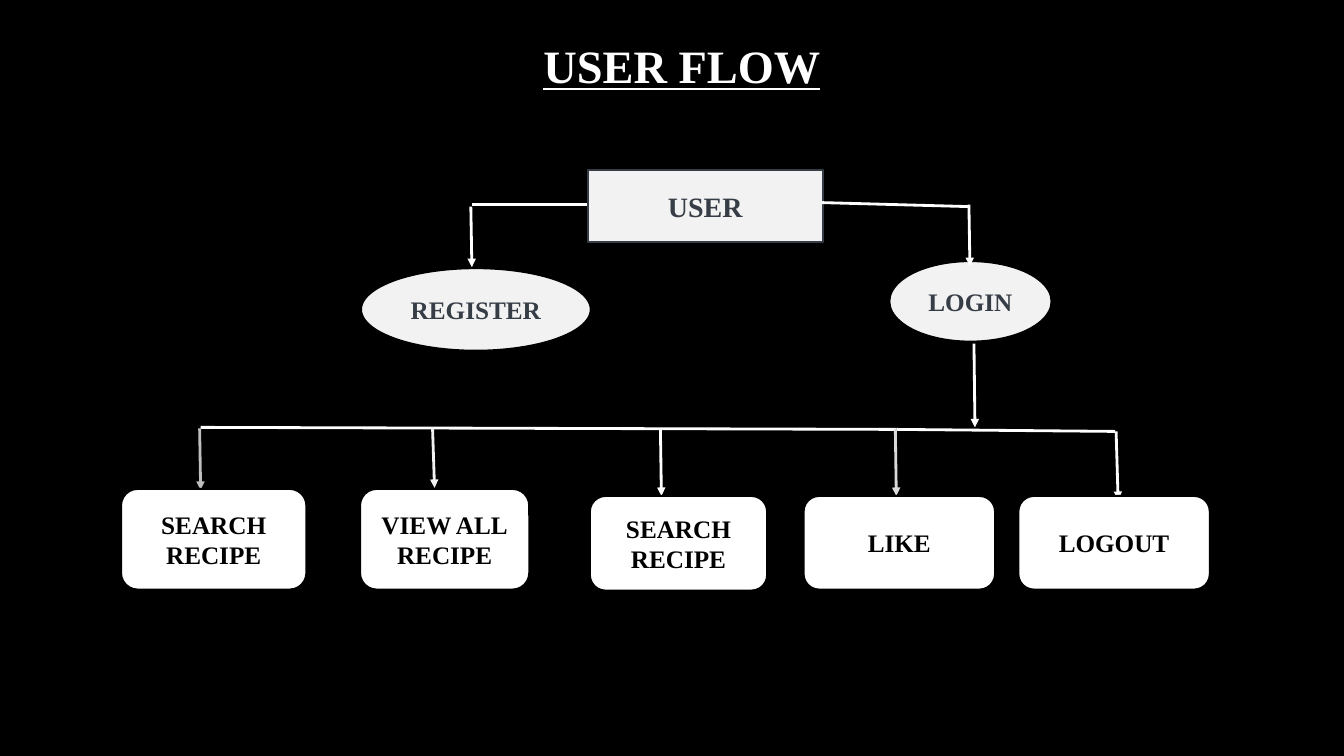
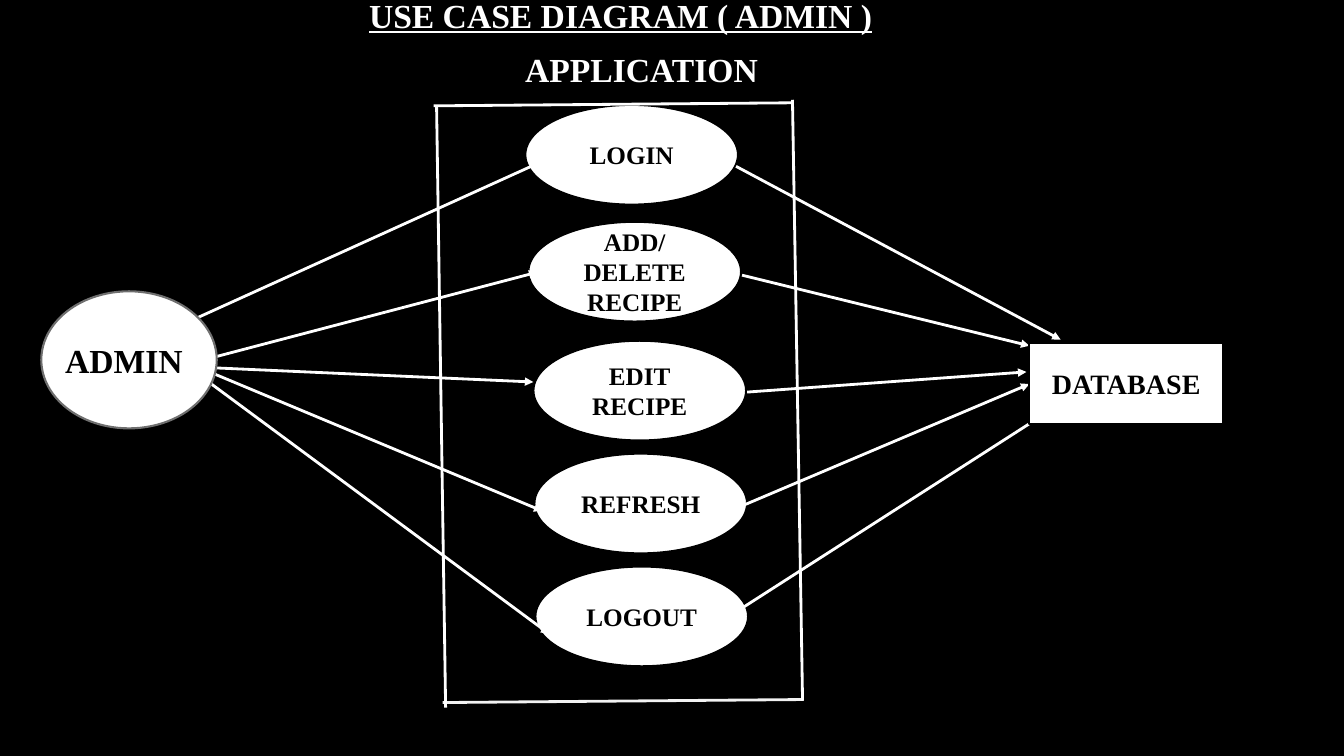
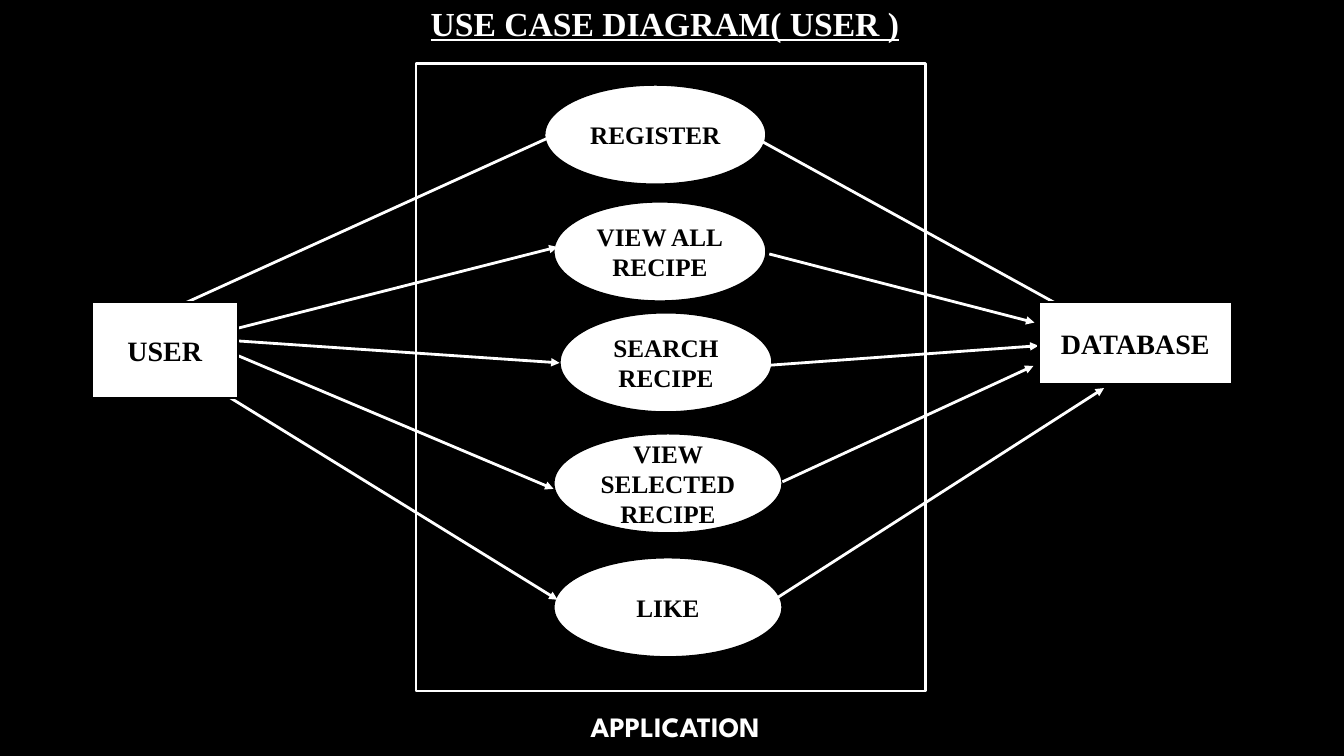
from pptx import Presentation, util as u
from pptx.dml.color import RGBColor
from pptx.enum import shapes, text
from pptx.oxml.ns import qn
from lxml import etree

COLORS = {
    "black": "000000", "white": "FFFFFF", "pale": "F2F2F2", "light": "D9D9D9",
    "silver": "BFBFBF", "gray": "6F6F6F", "slate": "363D46",
}
SERIF = "Times New Roman"
SHAPE = shapes.MSO_SHAPE
TITLE_ONLY = 5
CASE_HEIGHT = 0.99


def color(name):
    return RGBColor.from_string(COLORS[name])


def inches(values):
    return [u.Inches(value) for value in values]


def shift(origin, point):
    """Return a point, or a box, moved from its origin to the slide."""
    return (origin[0] + point[0], origin[1] + point[1], *point[2:])


def write(shape, lines, size=18, ink="black", font=SERIF, align="CENTER",
          anchor="MIDDLE", underline=False, spacing=None, wrap=True):
    frame = shape.text_frame
    frame.word_wrap = wrap
    frame.auto_size = text.MSO_AUTO_SIZE.NONE
    frame.vertical_anchor = getattr(text.MSO_ANCHOR, anchor)
    frame.text = lines
    for paragraph in frame.paragraphs:
        paragraph.alignment = getattr(text.PP_ALIGN, align)
        if spacing:
            paragraph.line_spacing = spacing
        for run in paragraph.runs:
            run.font.name, run.font.size = font, u.Pt(size)
            run.font.bold, run.font.underline = True, underline
            run.font.color.rgb = color(ink)


def add_node(slide, kind, box, label="", fill="white", line="black", **style):
    shape = slide.shapes.add_shape(kind, *inches(box))
    shape.shadow.inherit = False
    if fill:
        shape.fill.solid()
        shape.fill.fore_color.rgb = color(fill)
    else:
        shape.fill.background()
    shape.line.color.rgb = color(line)
    shape.line.width = u.Pt(1.5)
    if label:
        write(shape, label, **style)
    return shape


def add_line(slide, start, end, ink="white", arrow=False):
    connector = slide.shapes.add_connector(
        shapes.MSO_CONNECTOR.STRAIGHT, *inches((*start, *end)))
    connector.line.color.rgb = color(ink)
    connector.line.width = u.Pt(2)
    if arrow:
        outline = connector.line._get_or_add_ln()
        etree.SubElement(outline, qn("a:tailEnd"), type="triangle")
    etree.SubElement(connector._element.spPr, qn("a:effectLst"))


def add_caption(slide, box, label, **style):
    shape = slide.shapes.add_textbox(*inches(box))
    write(shape, label, ink="white", align="LEFT", anchor="TOP", **style)


def add_titled_slide(presentation, title, box, size=24, spacing=None):
    slide = presentation.slides.add_slide(presentation.slide_layouts[TITLE_ONLY])
    shape = slide.shapes.title
    shape.left, shape.top, shape.width, shape.height = inches(box)
    write(shape, title, size=size, ink="white", align="LEFT",
          underline=True, spacing=spacing)
    return slide


def add_entry_branch(slide, box):
    """Draw the user box with its register and login branches."""
    add_node(slide, SHAPE.RECTANGLE, box, "USER", fill="pale", line="slate",
             size=20, ink="slate")
    for label, place in (("REGISTER", (-2.25, 0.97, 2.28, 0.82)),
                         ("LOGIN", (2.99, 0.9, 1.61, 0.8))):
        add_node(slide, SHAPE.OVAL, shift(box, place), label, fill="pale", ink="slate")
    for start, end, arrow in (
            ((-0.01, 0.34), (-1.15, 0.34), False),
            ((-1.16, 0.36), (-1.15, 0.96), True),
            ((2.32, 0.32), (3.78, 0.36), False),
            ((3.78, 0.34), (3.79, 0.95), True),
            ((3.83, 1.72), (3.84, 2.55), True)):
        add_line(slide, shift(box, start), shift(box, end), arrow=arrow)


def add_action_row(slide, origin):
    """Draw the rail and the actions that hang from it."""
    rail = [(0.79, 0), (7.69, 0.02), (9.86, 0.04)]
    for start, end in zip(rail, rail[1:]):
        add_line(slide, shift(origin, start), shift(origin, end))
    actions = [
        ("SEARCH\nRECIPE", (0, 0.61, 1.84, 1), (0.78, 0.01), (0.79, 0.62), "silver"),
        ("VIEW ALL\nRECIPE", (2.37, 0.61, 1.68, 1), (3.09, 0), (3.11, 0.6), "pale"),
        ("SEARCH\nRECIPE", (4.65, 0.68, 1.76, 0.94), (5.35, 0.01), (5.36, 0.68), "white"),
        ("LIKE", (6.77, 0.68, 1.9, 0.93), (7.68, 0.02), (7.69, 0.68), "light"),
        ("LOGOUT", (8.9, 0.68, 1.9, 0.93), (9.87, 0.04), (9.89, 0.72), "white"),
    ]
    for label, box, start, end, ink in actions:
        add_line(slide, shift(origin, start), shift(origin, end), ink, arrow=True)
        add_node(slide, SHAPE.ROUNDED_RECTANGLE, shift(origin, box), label)


def add_use_cases(slide, cases, actor, database):
    """Draw the cases and link each to the actor and the database.

    The four link points are offsets from the actor, case, case and database.
    """
    for label, (left, top, width), *points in cases:
        case = (left, top, width, CASE_HEIGHT)
        add_node(slide, SHAPE.OVAL, case, label)
        leave, enter, send, store = (
            shift(owner[:2], point)
            for owner, point in zip((actor, case, case, database), points))
        add_line(slide, leave, enter, arrow=True)
        add_line(slide, send, store, arrow=True)
    add_node(slide, SHAPE.RECTANGLE, database, "DATABASE", size=20)


def add_drawn_frame(slide, origin):
    """Draw the slightly slanted application frame from four lines."""
    for start, end, ink in (
            ((0, 0.06), (3.57, 0.03), "white"),
            ((0.09, 5.98), (3.67, 5.95), "pale"),
            ((0.03, 0.06), (0.12, 6.03), "white"),
            ((3.56, 0), (3.66, 5.96), "white")):
        add_line(slide, shift(origin, start), shift(origin, end), ink)


def build_user_flow(presentation):
    slide = add_titled_slide(presentation, "USER FLOW", (5.29, 0.41, 7.5, 0.58),
                             size=33.1, spacing=0.8)
    add_entry_branch(slide, (5.83, 1.69, 2.33, 0.71))
    add_action_row(slide, (1.2, 4.24))


def build_admin_cases(presentation):
    slide = add_titled_slide(presentation, "USE CASE DIAGRAM ( ADMIN )",
                             (3.56, -0.1, 8.7, 0.5))
    cases = [
        ("LOGIN", (5.21, 1.04, 2.11),
         (1.2, 0.42), (0.17, 0.56), (2.09, 0.61), (0.31, -0.03)),
        ("ADD/\nDELETE\nRECIPE", (5.24, 2.2, 2.11),
         (1.46, 0.72), (0.09, 0.5), (2.12, 0.53), (0, 0.03)),
        ("EDIT\nRECIPE", (5.29, 3.38, 2.11),
         (1.5, 0.75), (0, 0.41), (2.12, 0.51), (-0.03, 0.29)),
        ("REFRESH", (5.3, 4.5, 2.11),
         (1.5, 0.73), (0.08, 0.57), (2.08, 0.51), (0, 0.41)),
        ("LOGOUT", (5.31, 5.62, 2.11),
         (1.39, 0.7), (0.14, 0.67), (2.07, 0.4), (0.52, 0.47)),
    ]
    admin = (0.41, 2.89, 1.74, 1.36)
    add_use_cases(slide, cases, admin, (10.21, 3.4, 1.92, 0.81))
    add_drawn_frame(slide, (4.3, 0.99))
    add_caption(slide, (5.11, 0.44, 3.03, 0.5), "APPLICATION", size=24)
    shape = add_node(slide, SHAPE.FLOWCHART_CONNECTOR, admin, "ADMIN",
                     line="gray", size=24, wrap=False)
    shape.text_frame.margin_right = u.Inches(0.2)


def build_user_cases(presentation):
    slide = add_titled_slide(presentation, "USE CASE DIAGRAM( USER )",
                             (4.17, -0.02, 8.23, 0.5))
    cases = [
        ("REGISTER", (5.4, 0.84, 2.2),
         (0.83, 0.05), (0.1, 0.5), (2.17, 0.57), (0.3, 0.08)),
        ("VIEW ALL\nRECIPE", (5.49, 2, 2.11),
         (1.12, 0.34), (0.04, 0.45), (2.14, 0.52), (-0.04, 0.2)),
        ("SEARCH\nRECIPE", (5.55, 3.1, 2.11),
         (1.12, 0.36), (0, 0.5), (1.99, 0.53), (0, 0.43)),
        ("VIEW SELECTED\nRECIPE", (5.49, 4.3, 2.27),
         (1.17, 0.41), (0, 0.55), (2.27, 0.48), (-0.05, 0.63)),
        ("LIKE", (5.49, 5.53, 2.27),
         (0.91, 0.66), (0.04, 0.42), (2.11, 0.47), (0.65, 0.85)),
    ]
    user = (0.91, 3, 1.45, 0.95)
    add_use_cases(slide, cases, user, (10.3, 3, 1.92, 0.81))
    add_node(slide, SHAPE.RECTANGLE, user, "USER", size=20)
    add_node(slide, SHAPE.RECTANGLE, (4.13, 0.63, 5.05, 6.23), fill=None, line="white")
    add_caption(slide, (5.76, 6.99, 3.74, 0.44), "APPLICATION", size=20,
                font="League Spartan")


def main():
    presentation = Presentation()
    presentation.slide_width, presentation.slide_height = inches((13.33, 7.5))
    background = presentation.slide_master.background.fill
    background.solid()
    background.fore_color.rgb = color("black")
    build_user_flow(presentation)
    build_admin_cases(presentation)
    build_user_cases(presentation)
    presentation.save("out.pptx")


if __name__ == "__main__":
    main()
